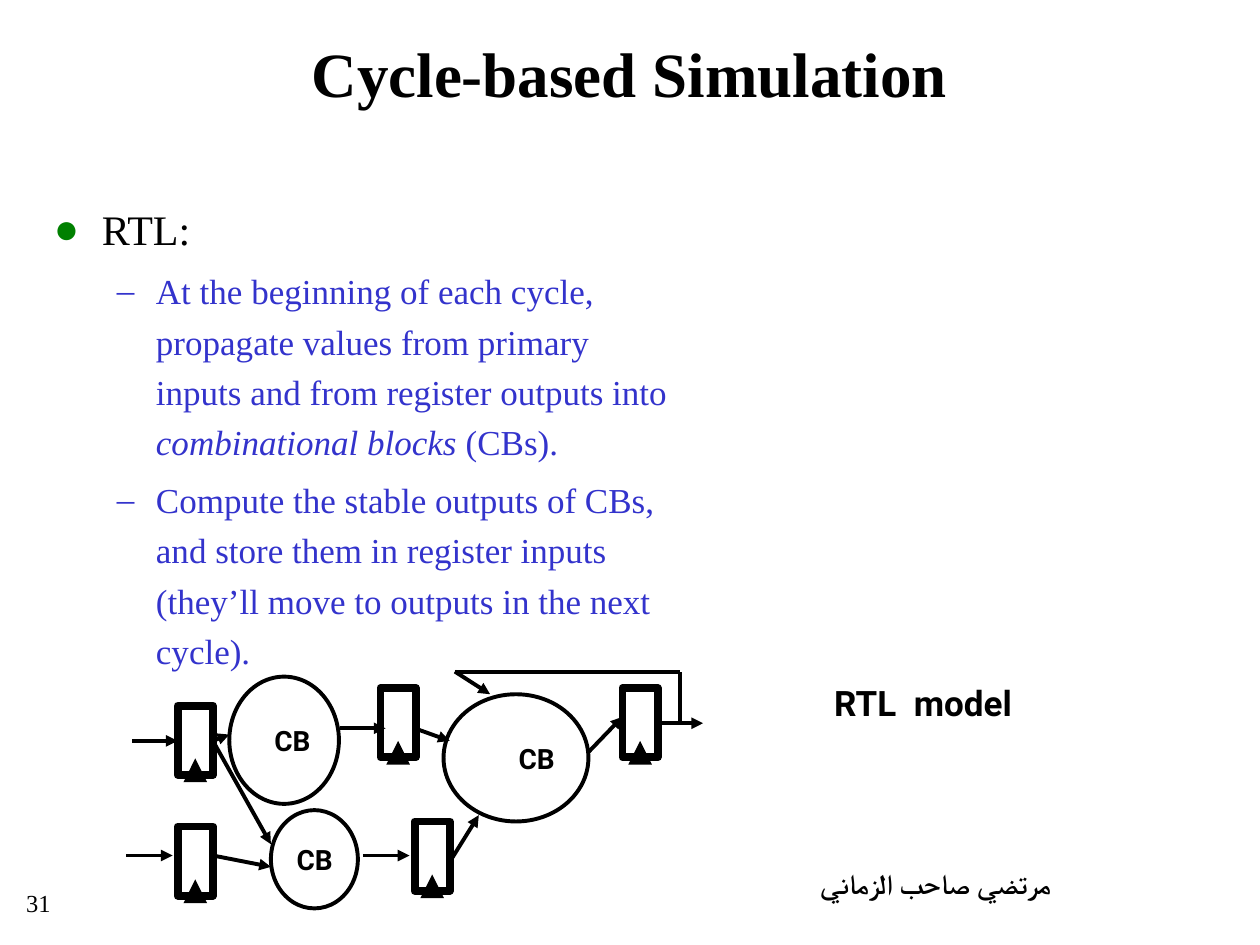
import pptx
import pptx.util
import pptx.dml.color
import pptx.enum.shapes
import pptx.enum.text
import pptx.oxml.ns
from dataclasses import dataclass
from lxml import etree

Inches, Pt = pptx.util.Inches, pptx.util.Pt
ALIGN = pptx.enum.text.PP_ALIGN
ANCHOR = pptx.enum.text.MSO_ANCHOR
SHAPE = pptx.enum.shapes.MSO_SHAPE
qn = pptx.oxml.ns.qn


@dataclass(frozen=True)
class Theme:
    serif: str = "Times New Roman"
    sans: str = "Roboto"
    ink: str = "000000"
    paper: str = "FFFFFF"
    detail: str = "3333CC"
    bullet: str = "008000"
    title: int = 36
    topic: int = 24
    body: int = 20
    label: int = 16
    number: int = 14
    wire: float = 2.25
    register: float = 4.5


T = Theme()

# Content: body rows are (level, [(text, italic), ...])
TITLE = "Cycle-based Simulation"
AUTHOR = "مرتضي صاحب الزماني"
BODY = [
    (0, [("RTL:", False)]),
    (1, [("At the beginning of each cycle, propagate values from primary inputs "
          "and from register outputs into ", False),
         ("combinational blocks ", True), ("(CBs).", False)]),
    (1, [("Compute the stable outputs of CBs, and store them in register inputs "
          "(they’ll move to outputs in the next cycle).", False)]),
]
# Per level: left margin, hanging indent, size, colour, bullet, bullet colour
LEVELS = [
    (0.38, 0.38, T.topic, T.ink, "●", T.bullet),
    (0.81, 0.31, T.body, T.detail, "–", T.detail),
]

# Circuit: register corners, block boxes, wires from point to point
REGISTER_SIZE = (0.28, 0.55)
REGISTERS = [(1.41, 5.6), (3.02, 5.46), (3.29, 6.52), (4.94, 5.46), (1.41, 6.56)]
BLOCKS = [(1.82, 5.37, 0.87, 1.01), (3.52, 5.51, 1.15, 1.01), (2.15, 6.43, 0.69, 0.78)]
ARROWS = [
    (1.69, 5.88, 1.82, 5.83), (1.69, 5.88, 2.15, 6.7), (1.69, 6.79, 2.15, 6.88),
    (1.05, 5.88, 1.41, 5.88), (1, 6.79, 1.37, 6.79), (2.88, 6.79, 3.25, 6.79),
    (2.7, 5.78, 3.06, 5.78), (3.57, 6.84, 3.8, 6.47), (3.29, 5.78, 3.57, 5.88),
    (4.67, 5.97, 4.94, 5.69), (5.22, 5.74, 5.58, 5.74), (3.61, 5.33, 3.89, 5.51),
]
FEEDBACK = [(5.4, 5.74, 5.4, 5.33), (3.61, 5.33, 5.4, 5.33)]

deck = pptx.Presentation()
deck.slide_width, deck.slide_height = Inches(10), Inches(7.5)
slide = deck.slides.add_slide(deck.slide_layouts[6])


def rgb(value):
    return pptx.dml.color.RGBColor.from_string(value)


def style(run, size, font=T.serif, color=T.ink, bold=False, italic=False):
    run.font.size, run.font.name = Pt(size), font
    run.font.bold, run.font.italic = bold, italic
    run.font.color.rgb = rgb(color)
    etree.SubElement(run.font._element, qn("a:cs"), typeface=font)


def write(frame, text, align, size, anchor=ANCHOR.TOP, rtl=False, **look):
    frame.text = text
    frame.vertical_anchor = anchor
    line = frame.paragraphs[0]
    line.alignment = align
    if rtl:
        line._p.get_or_add_pPr().set("rtl", "1")
    style(line.runs[0], size, **look)


def text_box(*box):
    frame = slide.shapes.add_textbox(*map(Inches, box)).text_frame
    frame.word_wrap = True
    return frame


def outline(kind, box, width):
    part = slide.shapes.add_shape(kind, *map(Inches, box))
    part.shadow.inherit = False
    part.fill.solid()
    part.fill.fore_color.rgb = rgb(T.paper)
    part.line.color.rgb = rgb(T.ink)
    part.line.width = Pt(width)
    return part


def wire(points, width=T.wire, arrow=True):
    link = slide.shapes.add_connector(
        pptx.enum.shapes.MSO_CONNECTOR.STRAIGHT, *map(Inches, points))
    link.line.color.rgb = rgb(T.ink)
    link.line.width = Pt(width)
    if arrow:
        etree.SubElement(link.line._get_or_add_ln(), qn("a:tailEnd"), type="triangle")
    etree.SubElement(link._element.spPr, qn("a:effectLst"))


# Author and body text
write(text_box(5.84, 6.83, 3.17, 0.5), AUTHOR, ALIGN.CENTER, T.label, rtl=True, bold=True)

body = text_box(0.33, 1.49, 5.17, 6)
for index, (level, pieces) in enumerate(BODY):
    margin, hang, size, color, mark, mark_color = LEVELS[level]
    line = body.add_paragraph() if index else body.paragraphs[0]
    line.level = level
    line.line_spacing, line.space_before = 1.2, Pt(size * 0.2)
    props = line._p.get_or_add_pPr()
    props.set("marL", str(Inches(margin)))
    props.set("indent", str(-Inches(hang)))
    tint = etree.SubElement(props, qn("a:buClr"))
    etree.SubElement(tint, qn("a:srgbClr"), val=mark_color)
    etree.SubElement(props, qn("a:buFont"), typeface=T.serif)
    etree.SubElement(props, qn("a:buChar"), char=mark)
    for text, italic in pieces:
        run = line.add_run()
        run.text = text
        style(run, size, color=color, italic=italic)

# Registers, each with a clock mark at its foot
for left, top in REGISTERS:
    width, height = REGISTER_SIZE
    outline(SHAPE.RECTANGLE, (left, top, width, height), T.register)
    middle = left + width / 2
    wire((middle, top + 0.51, middle, top + 0.42), T.register)

# Combinational blocks
for box in BLOCKS:
    block = outline(SHAPE.OVAL, box, T.wire).text_frame
    write(block, "CB", ALIGN.RIGHT, T.label, ANCHOR.MIDDLE, font=T.sans, bold=True)
    block.word_wrap = False

# Wires
for points in ARROWS:
    wire(points)
for points in FEEDBACK:
    wire(points, arrow=False)

# Caption, title and slide number
write(text_box(5.49, 5.36, 2.64, 0.43), "RTL  model", ALIGN.RIGHT, T.body,
      font=T.sans, bold=True)
write(text_box(0.17, 0.08, 9.65, 0.99), TITLE, ALIGN.CENTER, T.title,
      ANCHOR.MIDDLE, bold=True)
write(text_box(0, 7, 0.5, 0.5), "31", ALIGN.RIGHT, T.number)

deck.save("out.pptx")
